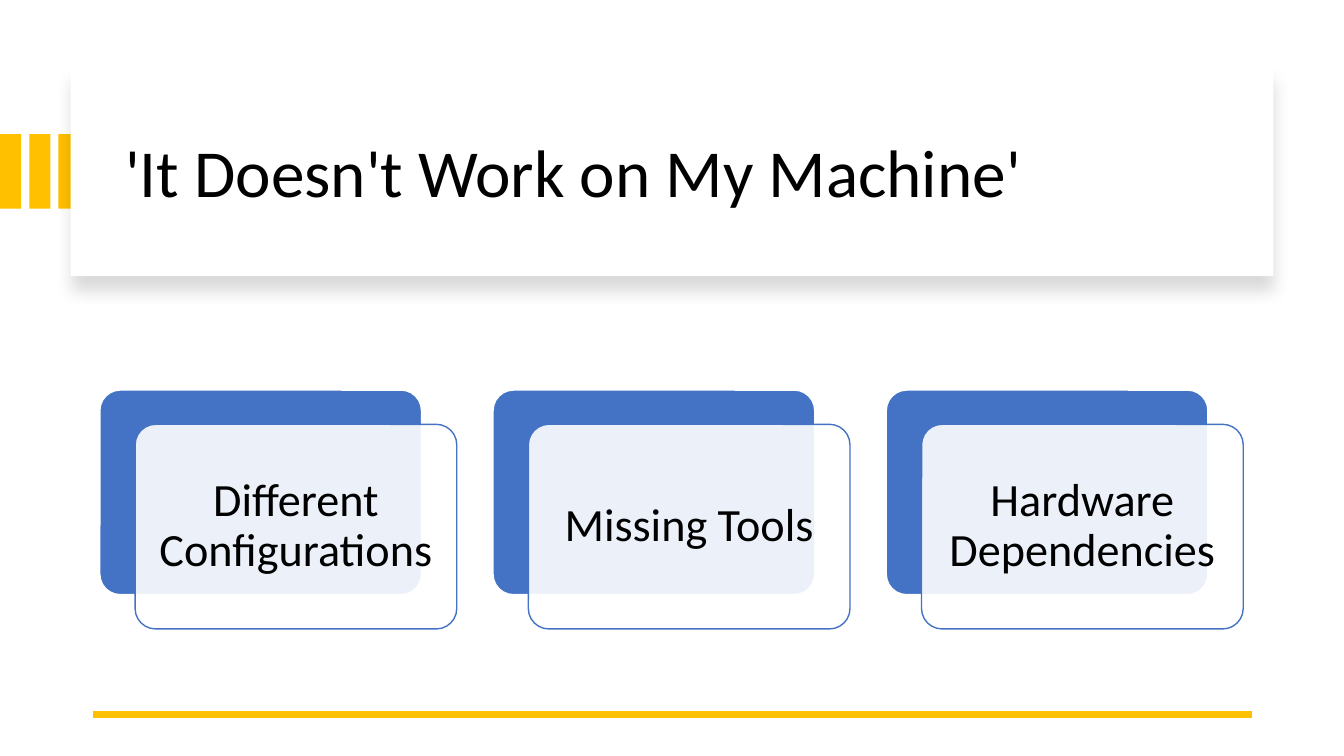
from lxml import etree
from pptx import Presentation
from pptx.dml.color import RGBColor
from pptx.enum.shapes import MSO_CONNECTOR, MSO_SHAPE
from pptx.enum.text import MSO_ANCHOR, PP_ALIGN
from pptx.oxml import parse_xml
from pptx.oxml.ns import qn
from pptx.util import Pt

# Content
TITLE = "'It Doesn't Work on My Machine'"
CAUSES = ["Different Configurations", "Missing Tools", "Hardware Dependencies"]

# Look
RECT, ROUNDED = MSO_SHAPE.RECTANGLE, MSO_SHAPE.ROUNDED_RECTANGLE
STRAIGHT = MSO_CONNECTOR.STRAIGHT
MIDDLE = MSO_ANCHOR.MIDDLE
LEFT, CENTER = PP_ALIGN.LEFT, PP_ALIGN.CENTER
FONT = "Calibri"
BLACK = RGBColor(0x00, 0x00, 0x00)
WHITE = RGBColor(0xFF, 0xFF, 0xFF)
GOLD = RGBColor(0xFF, 0xC0, 0x00)
BLUE = RGBColor(0x44, 0x72, 0xC4)
A_NS = "http://schemas.openxmlformats.org/drawingml/2006/main"

# Layout in px, 100 px to the inch
PX = 9144
STRIPE_TOP, STRIPE_W, STRIPE_H, STRIPE_STEP, STRIPES = 133, 21, 74, 29, 3
CARD = (70, 67, 1193, 207)
TITLE_BOX = (114, 89, 1113, 170)
RULE_LEFT, RULE_RIGHT, RULE_Y = 92, 1242, 709
TILE_LEFT, TILE_TOP, TILE_W, TILE_H, TILE_STEP = 99, 387, 319, 203, 390
PANEL_DX, PANEL_DY, TEXT_INSET, TEXT_MARGIN = 35, 34, 6, 14


def px(*lengths):
    return [n * PX for n in lengths]


def add_box(shapes, kind, box, fill, line=None):
    sp = shapes.add_shape(kind, *px(*box))
    sp.shadow.inherit = False
    sp.fill.solid()
    sp.fill.fore_color.rgb = fill
    if line is None:
        sp.line.fill.background()
    else:
        sp.line.color.rgb = line
        sp.line.width = Pt(1)
    if kind == ROUNDED:
        sp.adjustments[0] = 0.1
    return sp


def write(tf, text, size, align):
    tf.word_wrap = True
    tf.vertical_anchor = MIDDLE
    p = tf.paragraphs[0]
    p.alignment = align
    p.line_spacing = 0.9
    r = p.add_run()
    r.text = text
    r.font.name = FONT
    r.font.size = Pt(size)
    r.font.color.rgb = BLACK


prs = Presentation()
prs.slide_width, prs.slide_height = px(1333, 750)
s = prs.slides.add_slide(prs.slide_layouts[5])

# Gold stripes at the left edge
stripes = s.shapes.add_group_shape()
for i in range(STRIPES):
    add_box(stripes.shapes, RECT,
            (i * STRIPE_STEP, STRIPE_TOP, STRIPE_W, STRIPE_H), GOLD)

# Title card with a soft shadow below
card = add_box(s.shapes, RECT, CARD, WHITE)
card._element.spPr.find(qn("a:effectLst")).append(parse_xml(
    f'<a:outerShdw xmlns:a="{A_NS}" blurRad="{Pt(11)}" dist="{Pt(10)}" '
    'dir="5400000" algn="t" rotWithShape="0">'
    '<a:srgbClr val="000000"><a:alpha val="15000"/></a:srgbClr></a:outerShdw>'))

# Title, brought in front of the card
title = s.shapes.title
title.left, title.top, title.width, title.height = px(*TITLE_BOX)
write(title.text_frame, TITLE, 48, LEFT)
s.shapes._spTree.append(title._element)

# Gold rule at the bottom
rule = s.shapes.add_connector(STRAIGHT, *px(RULE_RIGHT, RULE_Y, RULE_LEFT, RULE_Y))
rule.line.color.rgb = GOLD
rule.line.width = Pt(4.5)
etree.SubElement(rule._element.spPr, qn("a:effectLst"))

# Causes: blue tile, translucent panel, label
causes = s.shapes.add_group_shape()
for i, cause in enumerate(CAUSES):
    x = TILE_LEFT + i * TILE_STEP
    add_box(causes.shapes, ROUNDED, (x, TILE_TOP, TILE_W, TILE_H), BLUE, WHITE)

    x, y = x + PANEL_DX, TILE_TOP + PANEL_DY
    panel = add_box(causes.shapes, ROUNDED, (x, y, TILE_W, TILE_H), WHITE, BLUE)
    color = panel._element.spPr.find(qn("a:solidFill")).find(qn("a:srgbClr"))
    etree.SubElement(color, qn("a:alpha"), val="90000")

    label = causes.shapes.add_textbox(*px(
        x + TEXT_INSET, y + TEXT_INSET,
        TILE_W - 2 * TEXT_INSET, TILE_H - 2 * TEXT_INSET))
    tf = label.text_frame
    tf.margin_left, tf.margin_top, tf.margin_right, tf.margin_bottom = px(
        *[TEXT_MARGIN] * 4)
    write(tf, cause, 33, CENTER)

prs.save("out.pptx")
